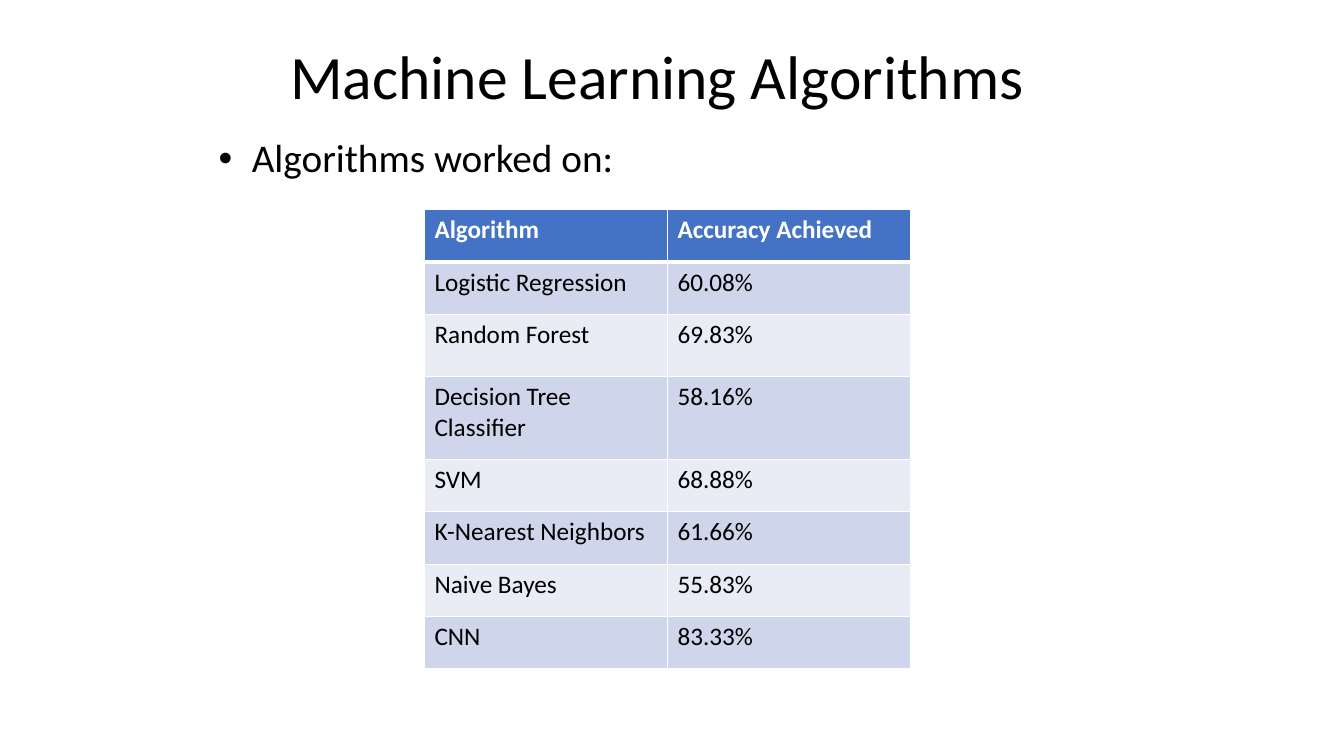
from dataclasses import dataclass

from lxml import etree
from pptx import Presentation
from pptx import util as u
from pptx.dml.color import RGBColor
from pptx.enum import text
from pptx.oxml import ns


@dataclass(frozen=True)
class Theme:
    font: str = "Calibri"
    ink: str = "000000"
    white: str = "FFFFFF"
    header: str = "4472C4"
    band_dark: str = "CFD5EA"
    band_light: str = "E9EBF5"
    title_size: int = 44
    body_size: int = 28
    table_size: int = 18


theme = Theme()


def style(paragraph, size, color, bold=False):
    font = paragraph.font
    font.name, font.size, font.bold = theme.font, u.Pt(size), bold
    font.color.rgb = RGBColor.from_string(color)


def add_border(cell, side, points):
    properties = cell._tc.get_or_add_tcPr()
    line = etree.SubElement(properties, ns.qn(f"a:ln{side}"), w=str(u.Pt(points)))
    fill = etree.SubElement(line, ns.qn("a:solidFill"))
    etree.SubElement(fill, ns.qn("a:srgbClr"), val=theme.white)


presentation = Presentation()
presentation.slide_width = u.Inches(13.33)
presentation.slide_height = u.Inches(7.5)
slide = presentation.slides.add_slide(presentation.slide_layouts[6])

title = slide.shapes.add_textbox(u.Inches(0.79), u.Inches(0.4), u.Inches(11.46), u.Inches(0.78))
title.text_frame.word_wrap = True
title.text_frame.vertical_anchor = text.MSO_ANCHOR.MIDDLE
paragraph = title.text_frame.paragraphs[0]
paragraph.text = "Machine Learning Algorithms"
paragraph.alignment = text.PP_ALIGN.CENTER
paragraph.line_spacing = 0.9
style(paragraph, theme.title_size, theme.ink)

body = slide.shapes.add_textbox(u.Inches(2.07), u.Inches(1.33), u.Inches(9.1), u.Inches(0.6))
body.text_frame.word_wrap = True
paragraph = body.text_frame.paragraphs[0]
paragraph.text = "Algorithms worked on:"
paragraph.alignment = text.PP_ALIGN.JUSTIFY
paragraph.line_spacing = 0.9
style(paragraph, theme.body_size, theme.ink)
properties = paragraph._p.get_or_add_pPr()
properties.set("marL", str(u.Inches(0.33)))
properties.set("indent", str(-u.Inches(0.33)))
bullet_font = etree.Element(ns.qn("a:buFont"), typeface="Arial")
bullet = etree.Element(ns.qn("a:buChar"), char="•")
properties.find(ns.qn("a:lnSpc")).addnext(bullet_font)
bullet_font.addnext(bullet)

results = [
    ("Algorithm", "Accuracy Achieved"),
    ("Logistic Regression", "60.08%"),
    ("Random Forest", "69.83%"),
    ("Decision Tree Classifier", "58.16%"),
    ("SVM", "68.88%"),
    ("K-Nearest Neighbors", "61.66%"),
    ("Naive Bayes", "55.83%"),
    ("CNN", "83.33%"),
]
row_heights = [0.52, 0.52, 0.62, 0.82, 0.52, 0.52, 0.52, 0.52]

table = slide.shapes.add_table(
    len(results), 2, u.Inches(4.21), u.Inches(2.08), u.Inches(4.82), u.Inches(sum(row_heights))
).table
for column in table.columns:
    column.width = u.Inches(2.41)

for row, (values, height) in enumerate(zip(results, row_heights)):
    table.rows[row].height = u.Inches(height)
    is_header = row == 0
    band = theme.band_dark if row % 2 else theme.band_light
    for column, value in enumerate(values):
        cell = table.cell(row, column)
        cell.text = value
        style(
            cell.text_frame.paragraphs[0],
            theme.table_size,
            theme.white if is_header else theme.ink,
            is_header,
        )
        borders = {"L": 1, "R": 1, "T": 3 if row == 1 else 1, "B": 3 if is_header else 1}
        for side, points in borders.items():
            add_border(cell, side, points)
        cell.fill.solid()
        cell.fill.fore_color.rgb = RGBColor.from_string(theme.header if is_header else band)

presentation.save("out.pptx")
